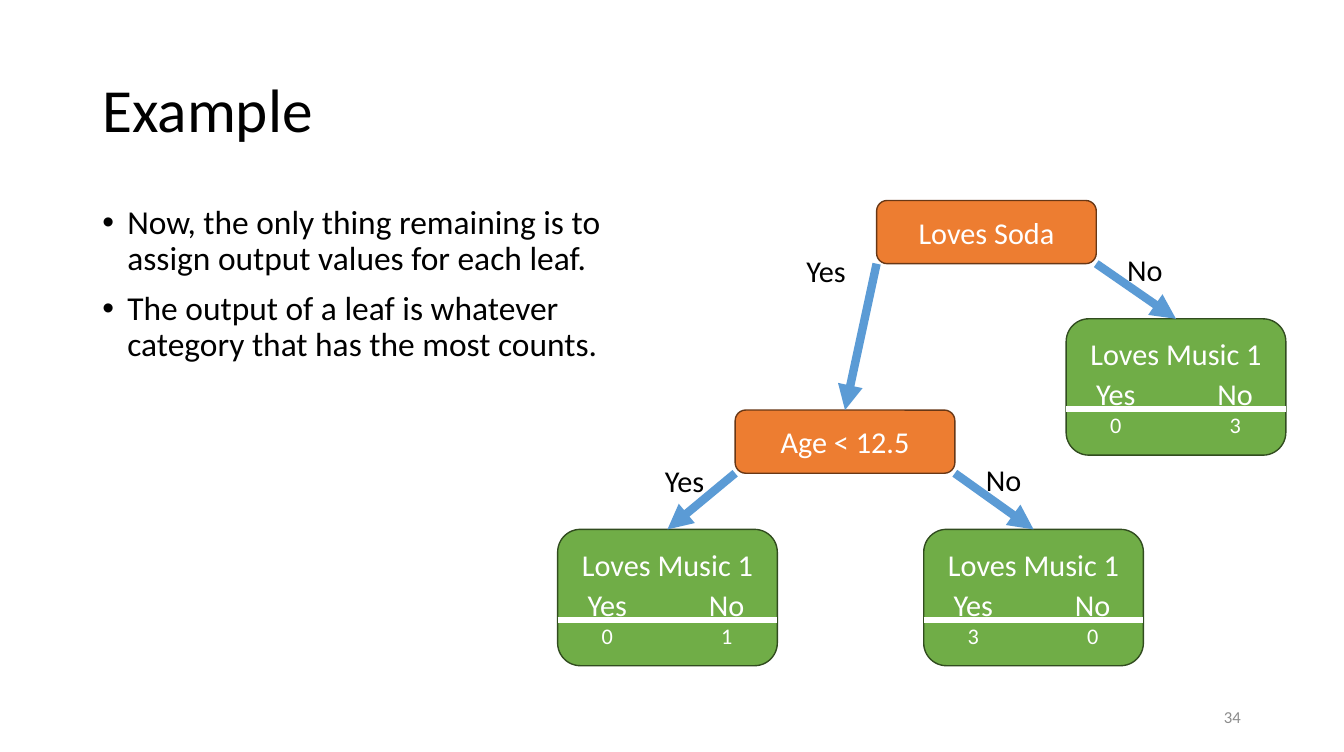
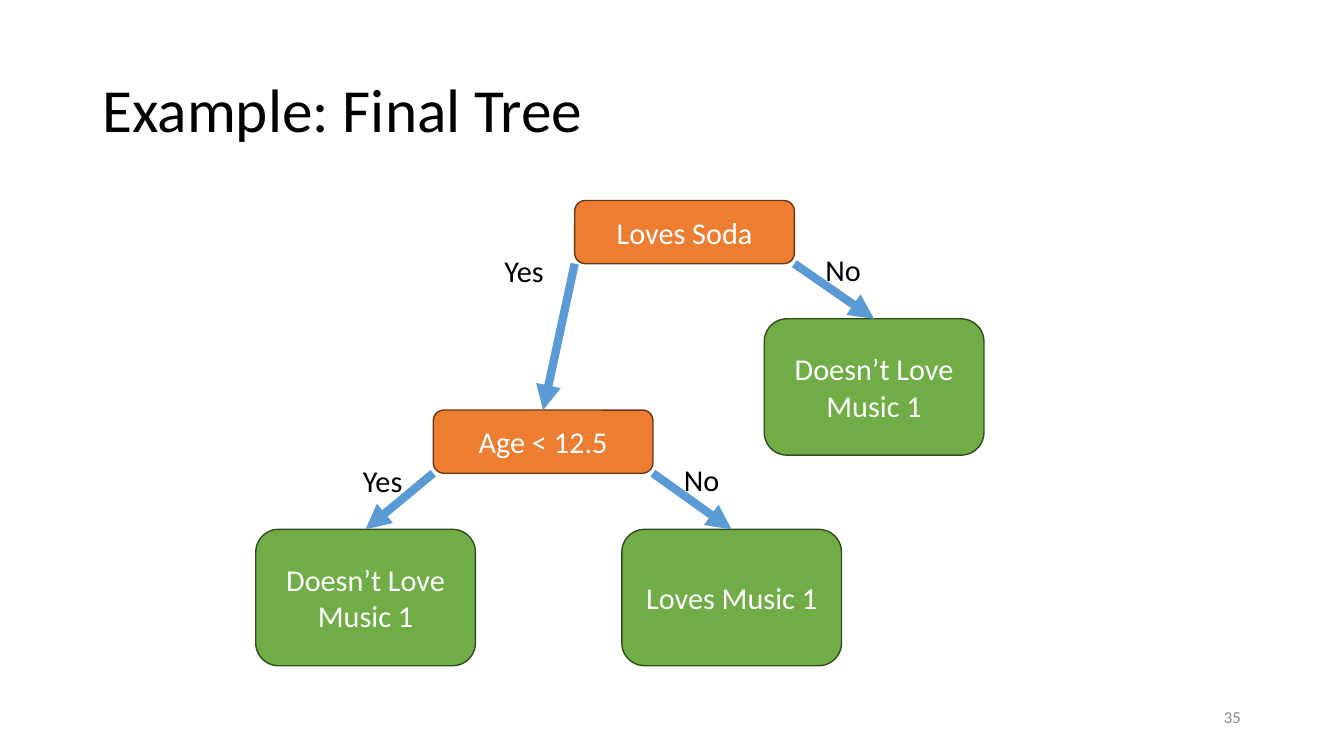
import pptx
import pptx.util
import pptx.dml.color
import pptx.enum.shapes
import pptx.enum.text
import pptx.oxml
import pptx.oxml.ns
from pptx.util import Inches

FONT = "Calibri"
COLORS = {
    "text": "000000", "number": "8C8C8C", "white": "FFFFFF", "arrow": "5B9BD5",
    "decision": "ED7D31", "decision_line": "683715",
    "leaf": "70AD47", "leaf_line": "314C1F",
}
TREE_SIZE = 21.7
NODE_WIDTH, DECISION_HEIGHT, LEAF_HEIGHT = 2.19, 0.63, 1.36
ALIGN = pptx.enum.text.PP_ALIGN
MIDDLE = pptx.enum.text.MSO_ANCHOR.MIDDLE


def color(name):
    return pptx.dml.color.RGBColor.from_string(COLORS[name])


def add_xml(parent, tag, **attributes):
    child = pptx.oxml.parse_xml(f'<a:{tag} {pptx.oxml.ns.nsdecls("a")}/>')
    for key, value in attributes.items():
        child.set(key, str(value))
    parent.append(child)
    return child


def place(shape, left, top, width, height):
    shape.left, shape.top = Inches(left), Inches(top)
    shape.width, shape.height = Inches(width), Inches(height)


def format_paragraph(paragraph, size, color_name, align=ALIGN.LEFT):
    paragraph.alignment = align
    for run in paragraph.runs:
        run.font.name = FONT
        run.font.size = pptx.util.Pt(size)
        run.font.color.rgb = color(color_name)


def write(shape, text, size, color_name, align=ALIGN.LEFT):
    shape.text_frame.word_wrap = True
    shape.text_frame.text = text
    for paragraph in shape.text_frame.paragraphs:
        format_paragraph(paragraph, size, color_name, align)


def add_label(slide, text, box, size, color_name, align=ALIGN.LEFT):
    label = slide.shapes.add_textbox(*map(Inches, box))
    write(label, text, size, color_name, align)
    return label


def add_line(slide, start, end, color_name, width):
    line = slide.shapes.add_connector(
        pptx.enum.shapes.MSO_CONNECTOR.STRAIGHT, *map(Inches, (*start, *end)))
    line.line.color.rgb = color(color_name)
    line.line.width = pptx.util.Pt(width)
    add_xml(line._element.spPr, "effectLst")
    return line


# Slide frame: title and page number
def add_slide(presentation, layout_index, title, number):
    slide = presentation.slides.add_slide(presentation.slide_layouts[layout_index])
    heading = slide.shapes.title
    place(heading, 0.92, 0.4, 11.56, 1.45)
    write(heading, title, 44, "text")
    heading.text_frame.auto_size = pptx.enum.text.MSO_AUTO_SIZE.NONE
    heading.text_frame.vertical_anchor = MIDDLE
    heading.text_frame.paragraphs[0].line_spacing = 0.9
    page = add_label(slide, str(number), (9.46, 6.95, 3.01, 0.4), 12, "number", ALIGN.RIGHT)
    page.text_frame.vertical_anchor = MIDDLE
    return slide


# Bulleted body text
def fill_body(body, box, items):
    place(body, *box)
    write(body, "\n".join(items), 24, "text")
    body.text_frame.auto_size = pptx.enum.text.MSO_AUTO_SIZE.NONE
    for index, paragraph in enumerate(body.text_frame.paragraphs):
        properties = paragraph._p.get_or_add_pPr()
        properties.set("marL", str(Inches(0.25)))
        properties.set("indent", str(Inches(-0.25)))
        add_xml(properties, "buFont", typeface="Arial")
        add_xml(properties, "buChar", char="•")
        paragraph.line_spacing = 0.9
        paragraph.space_before = pptx.util.Pt(10 if index else 0)


# Tree nodes
def add_node(slide, kind, text, left, top, height):
    node = slide.shapes.add_shape(
        pptx.enum.shapes.MSO_SHAPE.ROUNDED_RECTANGLE,
        *map(Inches, (left, top, NODE_WIDTH, height)))
    node.shadow.inherit = False
    node.fill.solid()
    node.fill.fore_color.rgb = color(kind)
    node.line.color.rgb = color(kind + "_line")
    node.line.width = pptx.util.Pt(1)
    write(node, text, TREE_SIZE, "white", ALIGN.CENTER)
    node.text_frame.vertical_anchor = MIDDLE
    return node


def add_leaf(slide, left, top, text, counts=None):
    leaf = add_node(slide, "leaf", text, left, top, LEAF_HEIGHT)
    if counts:
        # Two centred columns under the leaf name, with a rule between the rows
        for values, size, gap in ((("Yes", "No"), TREE_SIZE, 2.4), (counts, 16, 0)):
            paragraph = leaf.text_frame.add_paragraph()
            paragraph.text = "".join(f"\t{value}" for value in values)
            tabs = add_xml(paragraph._p.get_or_add_pPr(), "tabLst")
            for position in (0.33, 1.52):
                add_xml(tabs, "tab", pos=Inches(position), algn="ctr")
            paragraph.space_before = pptx.util.Pt(gap)
            format_paragraph(paragraph, size, "white")
        add_line(slide, (left, top + 0.9), (left + NODE_WIDTH, top + 0.9), "white", 4.5)
    return leaf


def add_branches(slide, left, top, yes_node, no_node):
    bottom = top + DECISION_HEIGHT
    branches = (("Yes", yes_node, left, -0.8, 0.47),
                ("No", no_node, left + NODE_WIDTH, 2.4, 0.46))
    for text, target, start, label_left, label_top in branches:
        arrow = add_line(slide, (start, bottom), (start, bottom), "arrow", 6)
        arrow.end_connect(target, 0)
        add_xml(arrow.line._get_or_add_ln(), "tailEnd", type="triangle")
        add_label(slide, text, (left + label_left, top + label_top, 0.68, 0.47),
                  TREE_SIZE, "text")


def add_tree(slide, left, top, leaves):
    """Each leaf is (text, counts): young, older, no soda."""
    soda = (left + 3.18, top)
    age = (left + 1.77, top + 2.09)
    spots = ((left, top + 3.28), (left + 3.65, top + 3.28), (left + 5.07, top + 1.18))
    add_node(slide, "decision", "Loves Soda", *soda, DECISION_HEIGHT)
    age_node = add_node(slide, "decision", "Age < 12.5", *age, DECISION_HEIGHT)
    young, older, no_soda = [add_leaf(slide, *spot, *leaf)
                             for spot, leaf in zip(spots, leaves)]
    add_branches(slide, *soda, age_node, no_soda)
    add_branches(slide, *age, young, older)


def main():
    presentation = pptx.Presentation()
    presentation.slide_width, presentation.slide_height = Inches(13.4), Inches(7.5)

    # Leaf counts
    slide = add_slide(presentation, 1, "Example", 34)
    fill_body(slide.placeholders[1], (0.92, 2, 5.18, 4.76), (
        "Now, the only thing remaining is to assign output values for each leaf.",
        "The output of a leaf is whatever category that has the most counts."))
    add_tree(slide, 5.56, 2, [("Loves Music 1", counts)
                              for counts in ((0, 1), (3, 0), (0, 3))])

    # Final tree
    slide = add_slide(presentation, 5, "Example: Final Tree", 35)
    add_tree(slide, 2.55, 2, [("Doesn’t Love Music 1",), ("Loves Music 1",),
                              ("Doesn’t Love Music 1",)])
    presentation.save("out.pptx")


if __name__ == "__main__":
    main()
